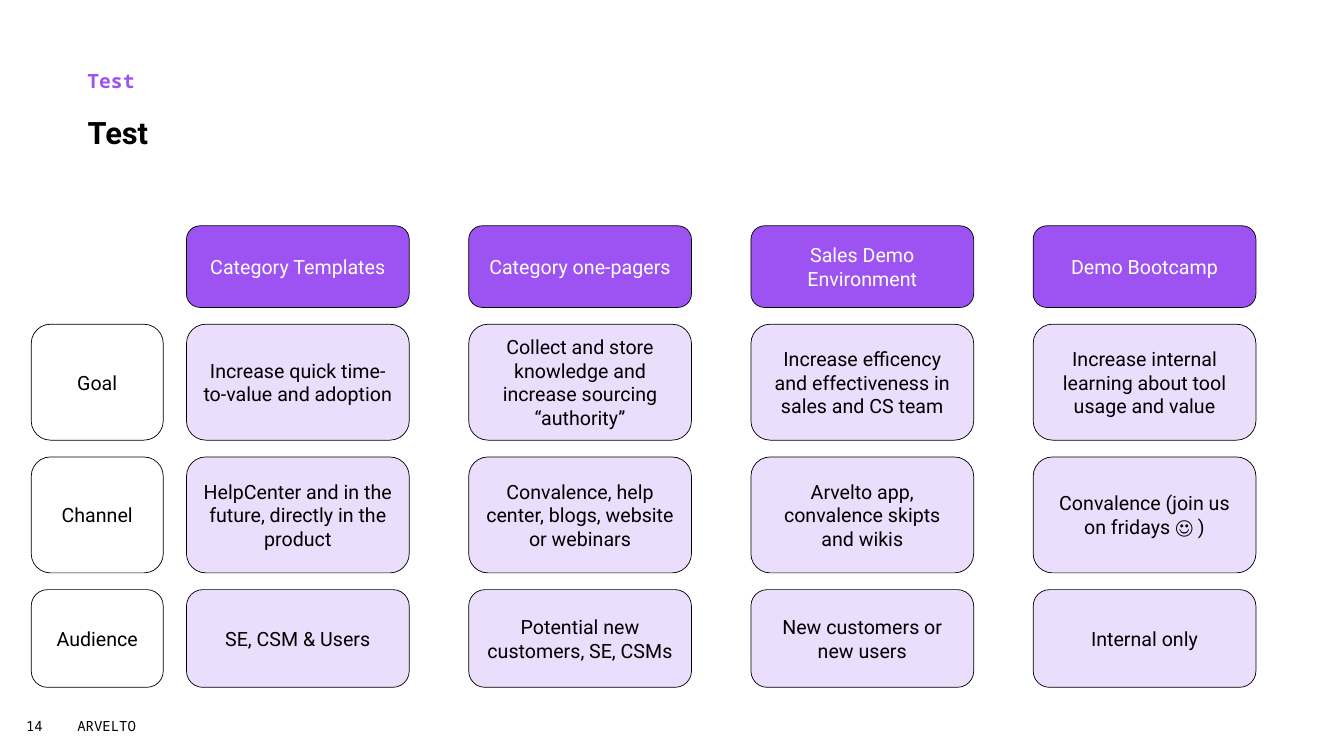
import pptx
import pptx.util
import pptx.dml.color
import pptx.enum.shapes
import pptx.enum.text
from lxml import etree

Pt = pptx.util.Pt
ALIGN = pptx.enum.text.PP_ALIGN
ANCHOR = pptx.enum.text.MSO_ANCHOR

COLOURS = {"purple": "9D53F2", "lilac": "EBDDFC", "white": "FFFFFF", "black": "000000"}

COLUMN_LEFT, COLUMN_STEP, COLUMN_WIDTH = 133.2, 201.6, 159.1
LABEL_LEFT, LABEL_WIDTH = 22.3, 94.3
HEADER_TOP, HEADER_HEIGHT = 161.3, 58.3
ROW_GAP = 12

HEADERS = ["Category Templates", "Category one-pagers", "Sales Demo Environment", "Demo Bootcamp"]
ROWS = [
    ("Goal", 82.8, [
        "Increase quick time-to-value and adoption",
        "Collect and store knowledge and increase sourcing “authority”",
        "Increase efficency and effectiveness in sales and CS team",
        "Increase internal learning about tool usage and value",
    ]),
    ("Channel", 82.8, [
        "HelpCenter and in the future, directly in the product",
        "Convalence, help center, blogs, website or webinars",
        "Arvelto app, convalence skipts and wikis",
        "Convalence (join us on fridays ☺ )",
    ]),
    ("Audience", 69.8, [
        "SE, CSM & Users",
        "Potential new customers, SE, CSMs",
        "New customers or new users",
        "Internal only",
    ]),
]


def rgb(name):
    return pptx.dml.color.RGBColor.from_string(COLOURS[name])


def set_values(target, values):
    for name, value in values.items():
        setattr(target, name, value)


def write(box, text, colour, font, align=ALIGN.LEFT, anchor=ANCHOR.TOP):
    frame = box.text_frame
    set_values(frame, {
        "word_wrap": True,
        "auto_size": pptx.enum.text.MSO_AUTO_SIZE.NONE,
        "vertical_anchor": anchor,
    })
    para = frame.paragraphs[0]
    para.alignment = align
    span = para.add_run()
    span.text = text
    set_values(span.font, font)
    span.font.color.rgb = rgb(colour)
    return span


def add_text(page, place, text, colour, font, **layout):
    box = page.shapes.add_textbox(*map(Pt, place))
    return write(box, text, colour, font, **layout)


def add_title(page, place, text):
    title = page.shapes.title
    set_values(title, dict(zip(("left", "top", "width", "height"), map(Pt, place))))
    write(title, text, "black", {"name": "Roboto", "size": Pt(22), "bold": True})


def add_card(page, place, text, fill, colour="black"):
    card = page.shapes.add_shape(
        pptx.enum.shapes.MSO_SHAPE.ROUNDED_RECTANGLE, *map(Pt, place))
    card.shadow.inherit = False
    card.fill.solid()
    card.fill.fore_color.rgb = rgb(fill)
    card.line.color.rgb = rgb("black")
    card.line.width = Pt(0.5)
    write(card, text, colour, {"name": "Roboto", "size": Pt(14)},
          align=ALIGN.CENTER, anchor=ANCHOR.MIDDLE)


def add_card_row(page, top, height, texts, fill, colour="black"):
    for index, text in enumerate(texts):
        left = COLUMN_LEFT + index * COLUMN_STEP
        add_card(page, (left, top, COLUMN_WIDTH, height), text, fill, colour)


def add_footer(page):
    font = {"name": "Noto Sans Mono", "size": Pt(10)}
    add_text(page, (11.5, 509, 37, 17.3), "14", "black", font)
    add_text(page, (48.2, 509, 172.8, 19.4), "ARVELTO", "black", font)


def main():
    deck = pptx.Presentation()
    set_values(deck, {"slide_width": Pt(960), "slide_height": Pt(540)})
    page = deck.slides.add_slide(deck.slide_layouts[5])

    add_footer(page)
    add_text(page, (55.4, 49, 763.9, 17.3), "Test", "purple",
             {"name": "Noto Sans Mono", "size": Pt(14), "bold": True}, anchor=ANCHOR.MIDDLE)
    add_title(page, (55.4, 77.8, 763.9, 58.3), "Test")

    add_card_row(page, HEADER_TOP, HEADER_HEIGHT, HEADERS, "purple", "white")
    top = HEADER_TOP + HEADER_HEIGHT + ROW_GAP
    for label, height, texts in ROWS:
        add_card(page, (LABEL_LEFT, top, LABEL_WIDTH, height), label, "white")
        add_card_row(page, top, height, texts, "lilac")
        top += height + ROW_GAP

    deck.save("out.pptx")


if __name__ == "__main__":
    main()
